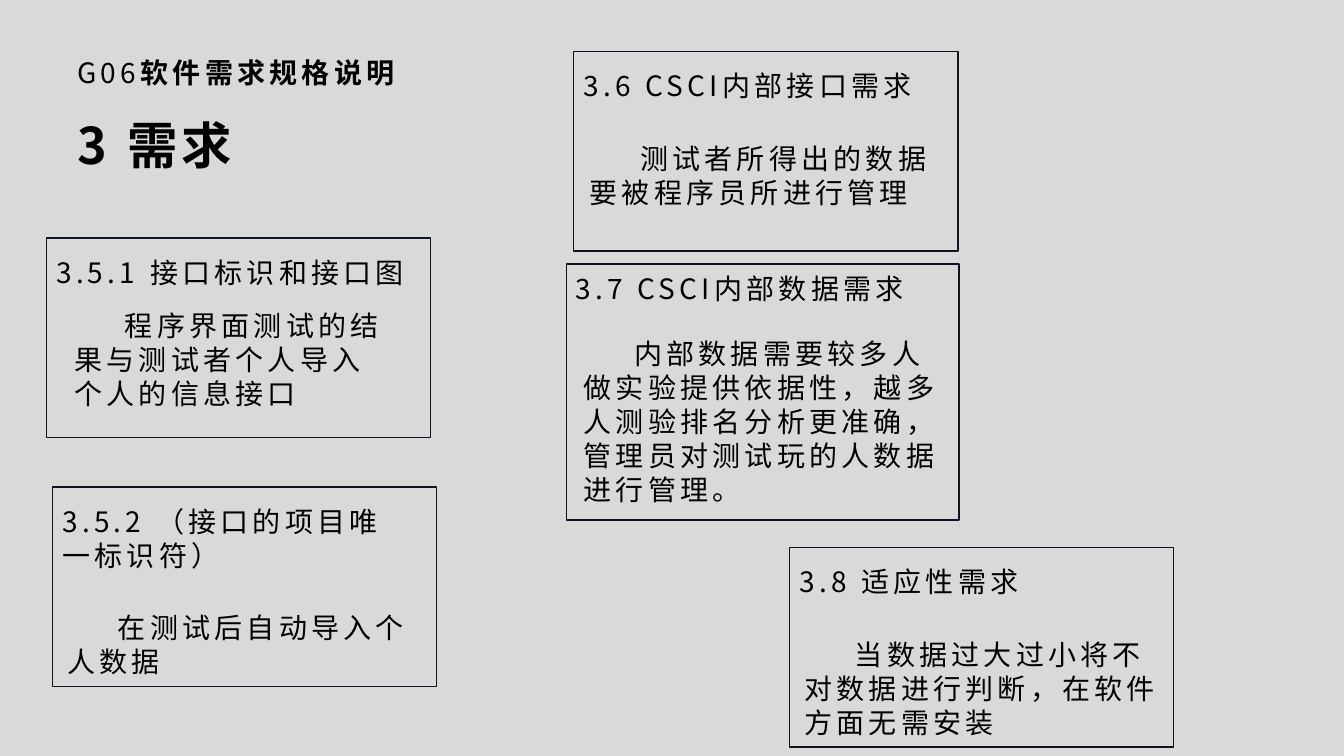
"""Builds the requirements slide of the G06 software specification."""
import pptx
import pptx.util
import pptx.dml.color
import pptx.enum.shapes
import pptx.enum.text
from pptx.util import Inches, Pt

FONT = "Noto Sans CJK SC"
INK = pptx.dml.color.RGBColor(0x00, 0x00, 0x00)
FRAME_INK = pptx.dml.color.RGBColor(0x0F, 0x14, 0x23)
BACKDROP = pptx.dml.color.RGBColor(0xD9, 0xD9, 0xD9)

TITLES = [
    ((0.67, 0.48, 3.38, 0.44), [("G06", False), ("软件需求规格说明", True)], 20),
    ((0.67, 1.04, 4.31, 0.71), [("3 需求", True)], 36),
]
REQUIREMENTS = [
    {"frame": (0.46, 2.36, 3.81, 1.98),
     "heading": "3.5.1 接口标识和接口图", "heading_box": (0.46, 2.46, 3.66, 0.44),
     "body": "程序界面测试的结果与测试者个人导入个人的信息接口",
     "body_box": (0.64, 2.99, 3.29, 0.72)},
    {"frame": (0.52, 4.83, 3.81, 1.98),
     "heading": "3.5.2 （接口的项目唯一标识符）", "heading_box": (0.52, 4.93, 3.66, 0.77),
     "body": "在测试后自动导入个人数据",
     "body_box": (0.57, 5.98, 3.76, 0.81)},
    {"frame": (5.69, 0.51, 3.81, 1.98),
     "heading": "3.6 CSCI内部接口需求", "heading_box": (5.69, 0.61, 3.66, 0.44),
     "body": "测试者所得出的数据要被程序员所进行管理",
     "body_box": (5.75, 1.33, 3.76, 1.14)},
    {"frame": (5.62, 2.62, 3.89, 2.54),
     "heading": "3.7 CSCI内部数据需求", "heading_box": (5.61, 2.62, 3.74, 0.51),
     "body": "内部数据需要较多人做实验提供依据性，越多人测验排名分析更准确，管理员对测试玩的人数据进行管理。",
     "body_box": (5.69, 3.27, 3.76, 1.14)},
    {"frame": (7.83, 5.43, 3.81, 1.98),
     "heading": "3.8 适应性需求", "heading_box": (7.83, 5.53, 3.66, 0.44),
     "body": "当数据过大过小将不对数据进行判断，在软件方面无需安装",
     "body_box": (7.88, 6.25, 3.76, 1.14)},
]


def add_frame(slide, place):
    frame = slide.shapes.add_shape(
        pptx.enum.shapes.MSO_SHAPE.RECTANGLE, *map(Inches, place))
    frame.shadow.inherit = False
    frame.fill.background()
    frame.line.color.rgb = FRAME_INK
    frame.line.width = Pt(1)


def add_words(slide, place, pieces, size=20, indent=0, grow=False):
    words = slide.shapes.add_textbox(*map(Inches, place)).text_frame
    words.word_wrap = True
    words.margin_top = Inches(0.05 + size / 1000)
    if grow:
        words.auto_size = pptx.enum.text.MSO_AUTO_SIZE.SHAPE_TO_FIT_TEXT
    paragraph = words.paragraphs[0]
    paragraph.line_spacing = Pt(round(size * 1.21, 1))
    if indent:
        properties = paragraph._p.get_or_add_pPr()
        properties.set("marL", "0")
        properties.set("indent", str(Inches(indent)))
    for text, bold in pieces:
        run = paragraph.add_run()
        run.text = text
        run.font.name = FONT
        run.font.size = Pt(size)
        run.font.bold = bold
        run.font.color.rgb = INK
        style = run._r.get_or_add_rPr()
        style.set("spc", "300")
        east_asian = pptx.oxml.xmlchemy.OxmlElement("a:ea")
        east_asian.set("typeface", FONT)
        style.append(east_asian)


def main():
    deck = pptx.Presentation()
    deck.slide_width, deck.slide_height = Inches(13.33), Inches(7.5)
    slide = deck.slides.add_slide(deck.slide_layouts[6])
    slide.background.fill.solid()
    slide.background.fill.fore_color.rgb = BACKDROP
    for place, pieces, size in TITLES:
        add_words(slide, place, pieces, size, grow=True)
    for requirement in REQUIREMENTS:
        add_frame(slide, requirement["frame"])
        add_words(slide, requirement["heading_box"],
                  [(requirement["heading"], False)], grow=True)
        add_words(slide, requirement["body_box"],
                  [(requirement["body"], False)], indent=0.5)
    deck.save("out.pptx")


if __name__ == "__main__":
    main()
